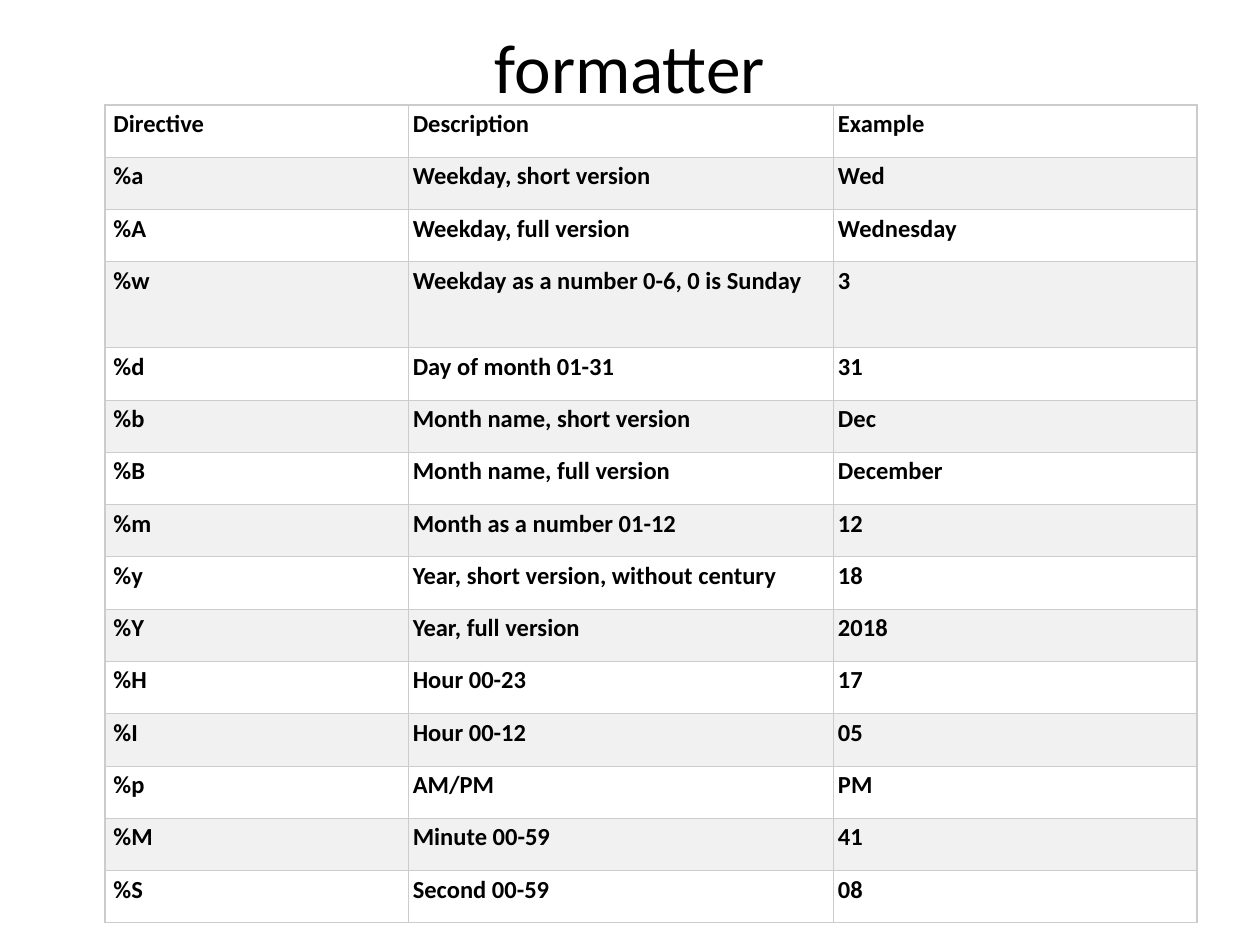
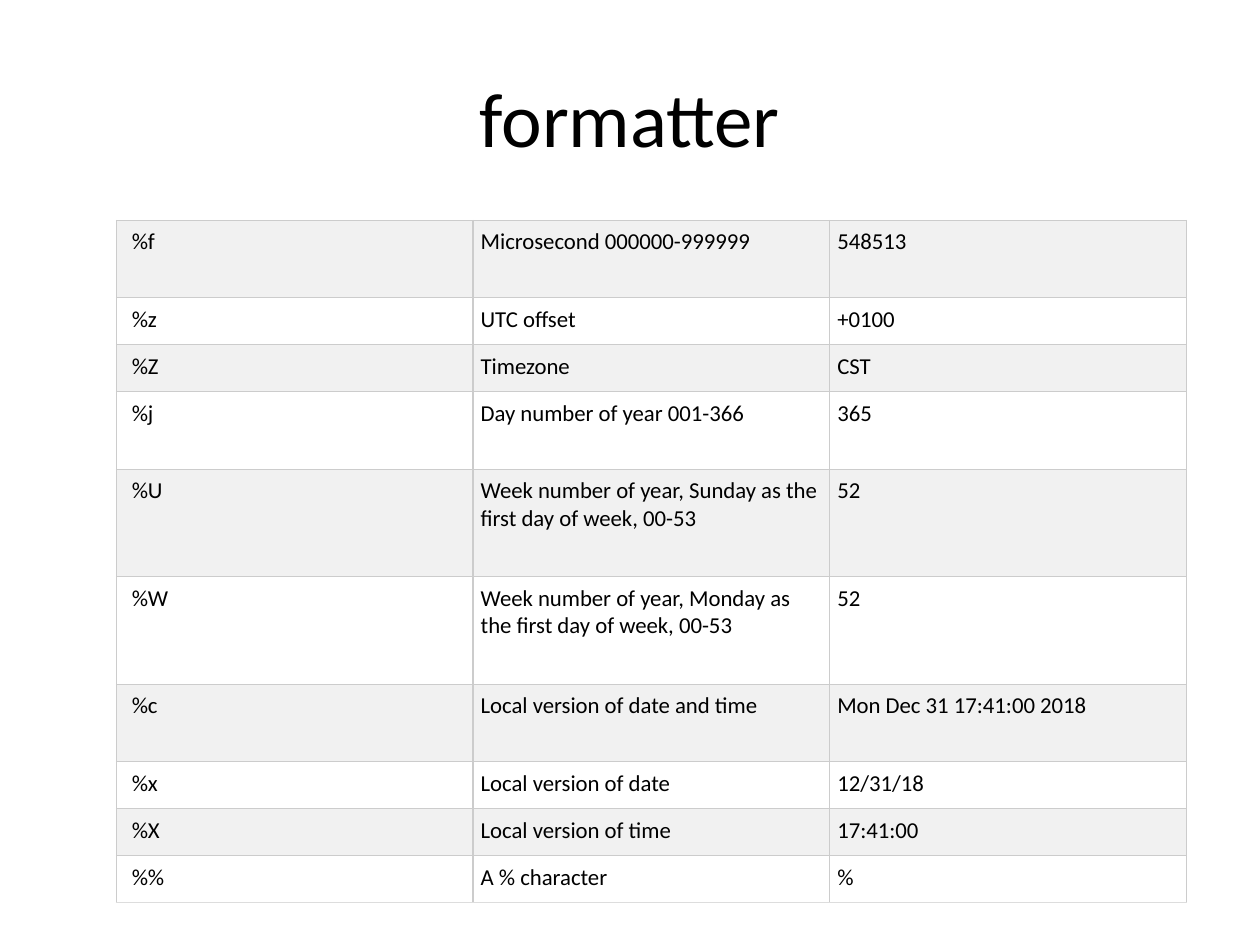
import pptx
import pptx.util
import pptx.dml.color
import pptx.enum.text
import pptx.oxml
import pptx.oxml.ns

Pt = pptx.util.Pt

# Shared look
FONT = "Calibri"
BLACK, WHITE, GREY = "000000", "FFFFFF", "F1F1F1"
RULE, LAST_RULE = "CCCCCC", "DDDDDD"
RULE_WIDTH = 0.75

# Content: directive, description, example
DATE_ROWS = [
    ("Directive", "Description", "Example"),
    ("%a", "Weekday, short version", "Wed"),
    ("%A", "Weekday, full version", "Wednesday"),
    ("%w", "Weekday as a number 0-6, 0 is Sunday", "3"),
    ("%d", "Day of month 01-31", "31"),
    ("%b", "Month name, short version", "Dec"),
    ("%B", "Month name, full version", "December"),
    ("%m", "Month as a number 01-12", "12"),
    ("%y", "Year, short version, without century", "18"),
    ("%Y", "Year, full version", "2018"),
    ("%H", "Hour 00-23", "17"),
    ("%I", "Hour 00-12", "05"),
    ("%p", "AM/PM", "PM"),
    ("%M", "Minute 00-59", "41"),
    ("%S", "Second 00-59", "08"),
]
OTHER_ROWS = [
    ("%f", "Microsecond 000000-999999", "548513"),
    ("%z", "UTC offset", "+0100"),
    ("%Z", "Timezone", "CST"),
    ("%j", "Day number of year 001-366", "365"),
    ("%U", "Week number of year, Sunday as the first day of week, 00-53", "52"),
    ("%W", "Week number of year, Monday as the first day of week, 00-53", "52"),
    ("%c", "Local version of date and time", "Mon Dec 31 17:41:00 2018"),
    ("%x", "Local version of date", "12/31/18"),
    ("%X", "Local version of time", "17:41:00"),
    ("%%", "A % character", "%"),
]

# Each slide: title box and table; "tall" gives the rows above normal height
SLIDES = [
    dict(title="formatter", title_height=32.4, title_size=39.6,
         rows=DATE_ROWS, left=60, top=60, columns=(173.5, 243, 207.5),
         row_height=29.9, tall={"%w": 49.1}, size=14, bold=True,
         inset=2.4, first_inset=4.8, fills=(WHITE, GREY), bottom=RULE),
    dict(title="formatter", title_height=90, title_size=44,
         rows=OTHER_ROWS, left=66.5, top=126, columns=(203.8,) * 3,
         row_height=26.9, size=13, bold=False,
         tall={"%f": 44.2, "%j": 44.2, "%c": 44.2, "%U": 61.5, "%W": 61.5},
         inset=4.4, first_inset=8.8, fills=(GREY, WHITE), bottom=LAST_RULE),
]


def rgb(value):
    return pptx.dml.color.RGBColor.from_string(value)


def style(paragraph, size, bold=False):
    font = paragraph.font
    font.name, font.size, font.bold = FONT, Pt(size), bold
    font.color.rgb = rgb(BLACK)


def add_title(slide, text, height, size):
    box = slide.shapes.add_textbox(Pt(36), Pt(21.6), Pt(648), Pt(height))
    frame = box.text_frame
    frame.word_wrap = True
    frame.vertical_anchor = pptx.enum.text.MSO_ANCHOR.MIDDLE
    heading = frame.paragraphs[0]
    heading.text = text
    heading.alignment = pptx.enum.text.PP_ALIGN.CENTER
    style(heading, size)


def add_borders(cell, bottom):
    properties = cell._tc.get_or_add_tcPr()
    for side, color in (("L", RULE), ("R", RULE), ("T", RULE), ("B", bottom)):
        properties.append(pptx.oxml.parse_xml(
            f'<a:ln{side} {pptx.oxml.ns.nsdecls("a")} w="{Pt(RULE_WIDTH)}">'
            f'<a:solidFill><a:srgbClr val="{color}"/></a:solidFill></a:ln{side}>'))


def add_directives(slide, plan):
    rows, columns = plan["rows"], plan["columns"]
    heights = [plan["tall"].get(row[0], plan["row_height"]) for row in rows]
    table = slide.shapes.add_table(
        len(rows), len(columns), Pt(plan["left"]), Pt(plan["top"]),
        Pt(sum(columns)), Pt(sum(heights))).table
    for column, width in zip(table.columns, columns):
        column.width = Pt(width)
    for r, (row, height) in enumerate(zip(rows, heights)):
        table.rows[r].height = Pt(height)
        bottom = plan["bottom"] if r == len(rows) - 1 else RULE
        for c, text in enumerate(row):
            cell = table.cell(r, c)
            cell.margin_right = cell.margin_top = cell.margin_bottom = Pt(plan["inset"])
            cell.margin_left = Pt(plan["inset"] if c else plan["first_inset"])
            add_borders(cell, bottom)
            cell.fill.solid()
            cell.fill.fore_color.rgb = rgb(plan["fills"][r % 2])
            cell.text = text
            style(cell.text_frame.paragraphs[0], plan["size"], plan["bold"])


# Build the deck
deck = pptx.Presentation()
deck.slide_width, deck.slide_height = Pt(720), Pt(540)
for plan in SLIDES:
    slide = deck.slides.add_slide(deck.slide_layouts[6])
    add_title(slide, plan["title"], plan["title_height"], plan["title_size"])
    add_directives(slide, plan)
deck.save("out.pptx")
